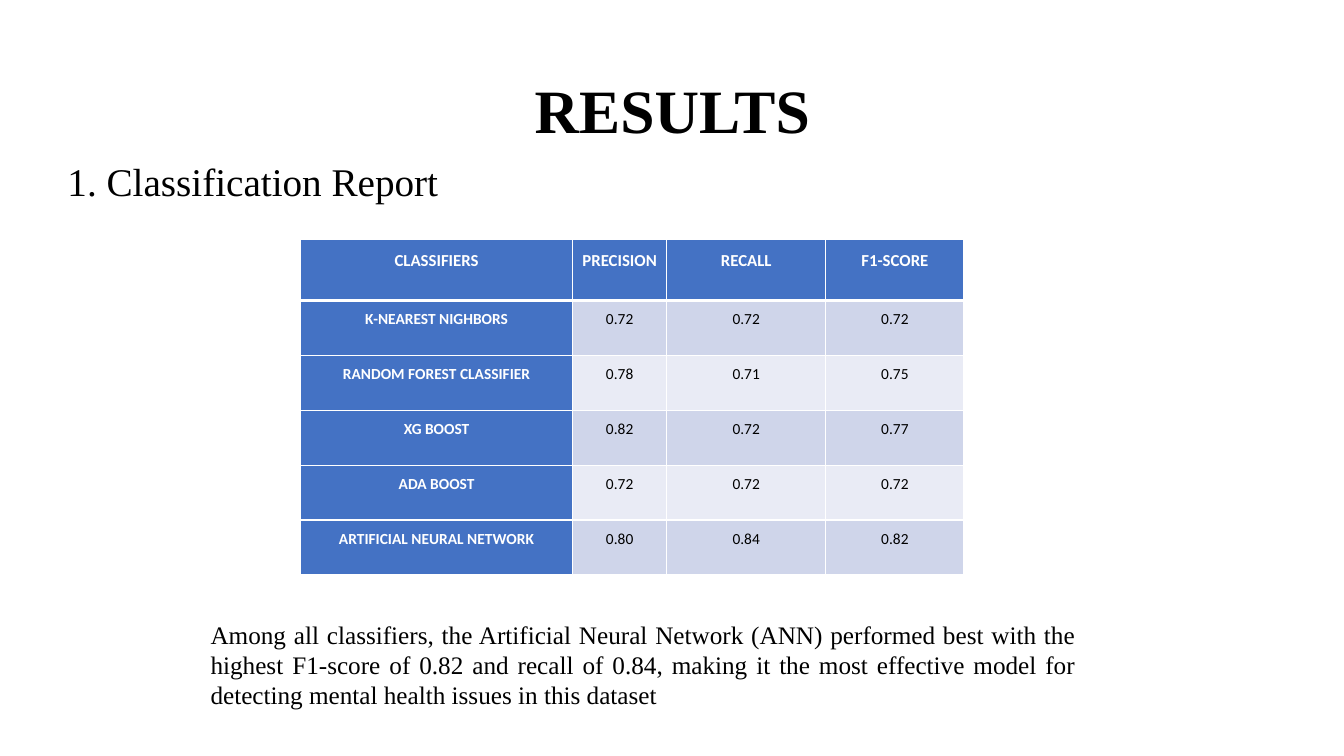
from pptx import Presentation
from pptx.dml.color import RGBColor
from pptx.enum.text import MSO_ANCHOR, MSO_AUTO_SIZE, PP_ALIGN
from pptx.oxml import parse_xml
from pptx.oxml.ns import nsdecls
from pptx.util import Inches, Pt

SLIDE_WIDTH, SLIDE_HEIGHT = Inches(13.33), Inches(7.5)
BLACK = RGBColor(0x00, 0x00, 0x00)
WHITE = RGBColor(0xFF, 0xFF, 0xFF)
HEADER_BLUE = RGBColor(0x44, 0x72, 0xC4)
BANDS = (RGBColor(0xE9, 0xEB, 0xF5), RGBColor(0xCF, 0xD5, 0xEA))
SERIF, SANS = "Times New Roman", "Calibri"

COLUMN_SHARES = (20.26, 6.98, 11.85, 10.28)
HEADER_SHARE, ROW_SHARE = 8, 7.27
REPORT = (
    ("CLASSIFIERS", "PRECISION", "RECALL", "F1-SCORE"),
    ("K-NEAREST NIGHBORS", "0.72", "0.72", "0.72"),
    ("RANDOM FOREST CLASSIFIER", "0.78", "0.71", "0.75"),
    ("XG BOOST", "0.82", "0.72", "0.77"),
    ("ADA BOOST", "0.72", "0.72", "0.72"),
    ("ARTIFICIAL NEURAL NETWORK", "0.80", "0.84", "0.82"),
)
CONCLUSION = (
    "Among all classifiers, the Artificial Neural Network (ANN) performed best "
    "with the highest F1-score of 0.82 and recall of 0.84, making it the most "
    "effective model for detecting mental health issues in this dataset"
)


def across(share):
    """Return a percentage of the slide width."""
    return round(SLIDE_WIDTH * share / 100)


def down(share):
    """Return a percentage of the slide height."""
    return round(SLIDE_HEIGHT * share / 100)


def area(left, top, width, height):
    """Turn percentages of the slide into a position and a size."""
    return across(left), down(top), across(width), down(height)


def write(frame, text, size, font, color=BLACK, bold=False, align=PP_ALIGN.LEFT):
    """Fill a text frame with one formatted paragraph and return it."""
    frame.text = text
    para = frame.paragraphs[0]
    para.alignment = align
    for span in para.runs:
        span.font.size = Pt(size)
        span.font.name = font
        span.font.bold = bold
        span.font.color.rgb = color
    return para


def add_title(page, text):
    """Place and format the title placeholder."""
    title = page.shapes.title
    title.left, title.top, title.width, title.height = area(6.9, 5.33, 86.27, 19.33)
    title.text_frame.vertical_anchor = MSO_ANCHOR.MIDDLE
    para = write(title.text_frame, text, 44, SERIF, bold=True, align=PP_ALIGN.CENTER)
    para.line_spacing = 0.9


def add_text(page, place, text, size, align=PP_ALIGN.LEFT):
    """Add a wrapping text box that grows with its text."""
    frame = page.shapes.add_textbox(*place).text_frame
    frame.word_wrap = True
    frame.auto_size = MSO_AUTO_SIZE.SHAPE_TO_FIT_TEXT
    write(frame, text, size, SERIF, align=align)


def set_borders(cell, widths):
    """Draw white borders whose widths in points are given by side."""
    properties = cell._tc.get_or_add_tcPr()
    for side, width in widths.items():
        properties.append(parse_xml(
            f'<a:ln{side} {nsdecls("a")} w="{Pt(width)}"><a:solidFill>'
            f'<a:srgbClr val="{WHITE}"/></a:solidFill></a:ln{side}>'
        ))


def format_cell(cell, text, row, column):
    """Write one table cell in the style of its row and column."""
    heading = row == 0 or column == 0
    cell.margin_left = cell.margin_right = Inches(0.07)
    cell.margin_top = cell.margin_bottom = 0
    set_borders(cell, {"L": 1, "R": 1, "T": 3 if row == 1 else 1, "B": 3 if row == 0 else 1})
    cell.fill.solid()
    cell.fill.fore_color.rgb = HEADER_BLUE if heading else BANDS[row % 2]
    para = write(cell.text_frame, text, 12 if row == 0 else 11, SANS,
                 WHITE if heading else BLACK, heading, PP_ALIGN.CENTER)
    para.line_spacing = 1.5
    para.space_after = Pt(8)


def add_report(page):
    """Add the table of classifier scores."""
    height = HEADER_SHARE + ROW_SHARE * (len(REPORT) - 1)
    place = area(22.36, 31.73, sum(COLUMN_SHARES), height)
    table = page.shapes.add_table(len(REPORT), len(COLUMN_SHARES), *place).table
    table.first_col = True
    for column, share in zip(table.columns, COLUMN_SHARES):
        column.width = across(share)
    for row, texts in enumerate(REPORT):
        table.rows[row].height = down(ROW_SHARE if row else HEADER_SHARE)
        for column, text in enumerate(texts):
            format_cell(table.cell(row, column), text, row, column)


def main():
    """Build the results slide and save the deck."""
    deck = Presentation()
    deck.slide_width, deck.slide_height = SLIDE_WIDTH, SLIDE_HEIGHT
    page = deck.slides.add_slide(deck.slide_layouts.get_by_name("Title Only"))
    add_title(page, "RESULTS")
    add_report(page)
    add_text(page, area(14.93, 81.2, 65.87, 13.47), CONCLUSION, 18, PP_ALIGN.JUSTIFY)
    add_text(page, area(4.28, 20.13, 35.18, 7.6), "1. Classification Report", 28)
    deck.save("out.pptx")


if __name__ == "__main__":
    main()
